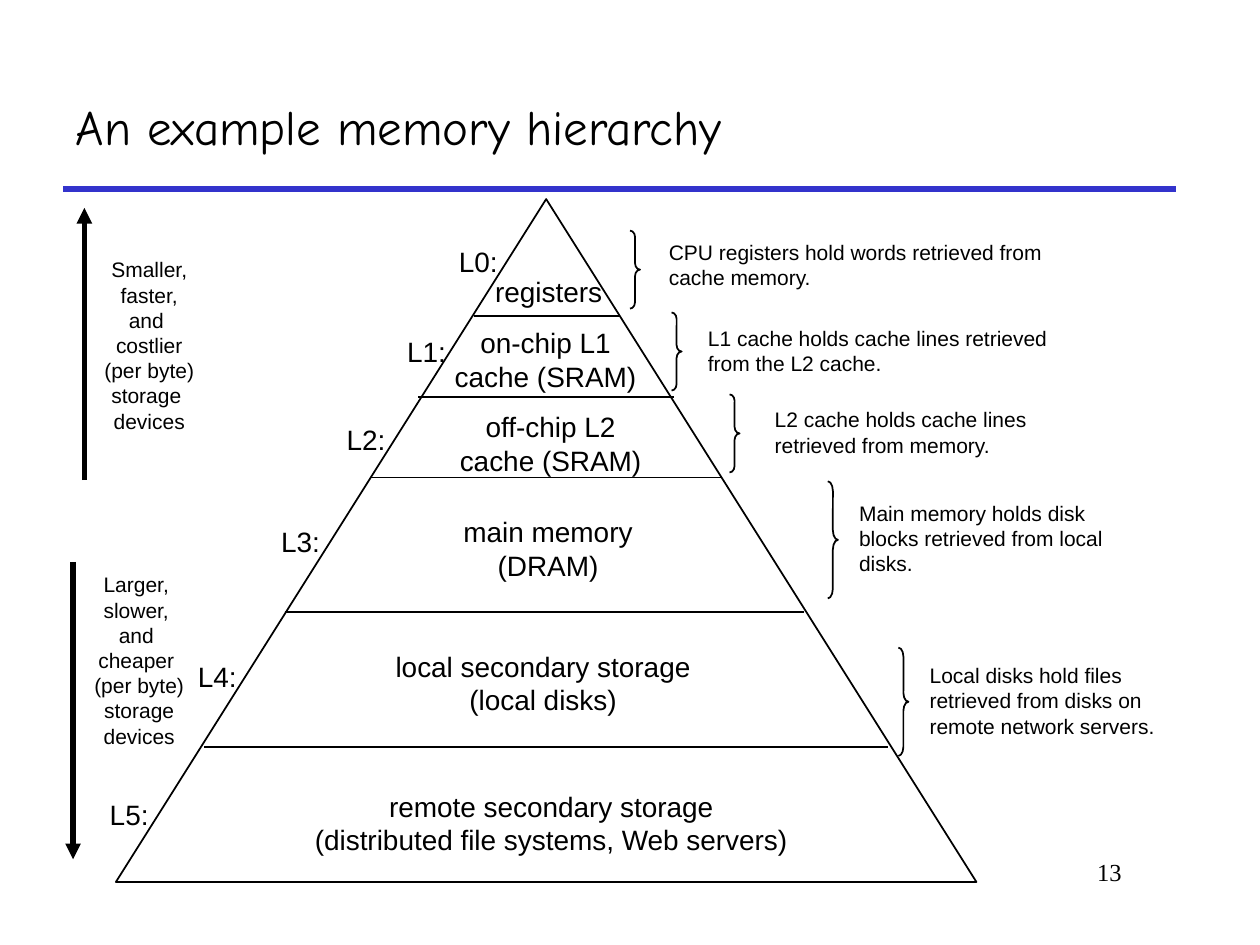
from lxml.etree import SubElement
from pptx import Presentation
from pptx.dml.color import RGBColor
from pptx.enum.shapes import MSO_CONNECTOR, MSO_SHAPE
from pptx.enum.text import MSO_ANCHOR, MSO_AUTO_SIZE, PP_ALIGN
from pptx.oxml.ns import qn
from pptx.util import Inches, Pt

BLACK = "000000"
BLUE = "3333CC"
LEFT, MID, RIGHT = PP_ALIGN.LEFT, PP_ALIGN.CENTER, PP_ALIGN.RIGHT


def paint(code):
    return RGBColor.from_string(code)


class Sheet:
    fonts = {
        "title": {"name": "Comic Neue", "size": Pt(28)},
        "tier": {"name": "Arial", "size": Pt(16)},
        "note": {"name": "Arial", "size": Pt(12)},
        "page": {"name": "Times New Roman", "size": Pt(14)},
    }

    def __init__(self, slide):
        self.slide = slide
        self.shapes = slide.shapes

    def fill_text(self, frame, text, style, align, wrap=True, anchor=MSO_ANCHOR.MIDDLE):
        look = {"word_wrap": wrap, "auto_size": MSO_AUTO_SIZE.NONE, "vertical_anchor": anchor}
        for key, value in look.items():
            setattr(frame, key, value)
        frame.text = text
        for para in frame.paragraphs:
            para.alignment = align
            for key, value in self.fonts[style].items():
                setattr(para.font, key, value)
            para.font.color.rgb = paint(BLACK)

    def title(self, text, *box):
        head = self.shapes.title
        for key, value in zip(("left", "top", "width", "height"), box):
            setattr(head, key, Inches(value))
        self.fill_text(head.text_frame, text, "title", LEFT)

    def text(self, text, style, align, *box, **more):
        frame = self.shapes.add_textbox(*map(Inches, box)).text_frame
        self.fill_text(frame, text, style, align, **more)

    def line(self, *ends, color=BLACK, width=1, arrow=False):
        line = self.shapes.add_connector(MSO_CONNECTOR.STRAIGHT, *map(Inches, ends))
        line.line.color.rgb = paint(color)
        line.line.width = Pt(width)
        if arrow:
            SubElement(line.line._get_or_add_ln(), qn("a:tailEnd"), type="triangle")
        SubElement(line._element.spPr, qn("a:effectLst"))

    def shape(self, kind, *box):
        shape = self.shapes.add_shape(kind, *map(Inches, box))
        shape.shadow.inherit = False
        shape.fill.background()
        shape.line.color.rgb = paint(BLACK)
        shape.line.width = Pt(1)
        return shape

    def brace(self, left, top, high):
        wide = 0.08
        brace = self.shape(MSO_SHAPE.RIGHT_BRACE, left, top, wide, high)
        brace.adjustments[0] = high / wide / 12


def main():
    deck = Presentation()
    deck.slide_width, deck.slide_height = Inches(10), Inches(7.5)
    sheet = Sheet(deck.slides.add_slide(deck.slide_layouts[5]))

    sheet.title("An example memory hierarchy", 0.5, 0.5, 8.83, 1)
    sheet.line(0.5, 1.5, 9.33, 1.5, color=BLUE, width=3)
    sheet.text("13", "page", RIGHT, 7.58, 6.75, 1.42, 0.5, anchor=MSO_ANCHOR.TOP)

    sheet.shape(MSO_SHAPE.ISOSCELES_TRIANGLE, 0.92, 1.58, 6.83, 5.42)
    rules = [
        (3.76, 4.92, 2.51),
        (3.32, 5.35, 3.15),
        (2.94, 5.73, 3.79),
        (2.26, 6.38, 4.86),
        (1.62, 7.05, 5.93),
    ]
    for start, end, top in rules:
        sheet.line(start, top, end, top)

    tiers = [
        ("registers", 3.83, 2.13, 1.05, 0.37),
        ("on-chip L1\ncache (SRAM)", 3.51, 2.53, 1.64, 0.64),
        ("off-chip L2\ncache (SRAM)", 3.55, 3.2, 1.64, 0.64),
        ("main memory\n(DRAM)", 3.58, 4.03, 1.54, 0.64),
        ("local secondary storage\n(local disks)", 3.04, 5.1, 2.54, 0.64),
        ("remote secondary storage\n(distributed file systems, Web servers)", 2.4, 6.21, 3.95, 0.64),
    ]
    for text, *box in tiers:
        sheet.text(text, "tier", MID, *box, wrap=False)

    spots = [(3.54, 1.89), (3.13, 2.6), (2.65, 3.3), (2.13, 4.11), (1.47, 5.18), (0.77, 6.28)]
    for rank, (left, top) in enumerate(spots):
        sheet.text(f"L{rank}:", "tier", MID, left, top, 0.51, 0.37, wrap=False)

    notes = [
        ("CPU registers hold words retrieved from cache memory.",
         (5.21, 1.85, 3.19, 0.5), (5, 1.83, 0.62)),
        ("L1 cache holds cache lines retrieved from the L2 cache.",
         (5.52, 2.53, 3.1, 0.5), (5.33, 2.48, 0.62)),
        ("L2 cache holds cache lines retrieved from memory.",
         (6.05, 3.18, 2.87, 0.5), (5.79, 3.13, 0.62)),
        ("Main memory holds disk\nblocks retrieved from local\ndisks.",
         (6.72, 3.92, 3.03, 0.7), (6.57, 3.82, 0.93)),
        ("Local disks hold files retrieved from disks on remote network servers.",
         (7.28, 5.21, 2.26, 0.7), (7.13, 5.14, 0.86)),
    ]
    for text, box, brace in notes:
        sheet.text(text, "note", LEFT, *box)
        sheet.brace(*brace)

    trends = [
        ("Smaller,\nfaster,\nand \ncostlier\n(per byte)\nstorage \ndevices",
         (0.73, 1.99), (0.67, 3.81, 0.67, 1.65)),
        ("Larger, \nslower, \nand \ncheaper \n(per byte)\nstorage\ndevices",
         (0.65, 4.49), (0.58, 4.46, 0.58, 6.82)),
    ]
    for text, spot, ends in trends:
        sheet.text(text, "note", MID, *spot, 0.91, 1.5, wrap=False)
        sheet.line(*ends, width=3, arrow=True)

    deck.save("out.pptx")


if __name__ == "__main__":
    main()
